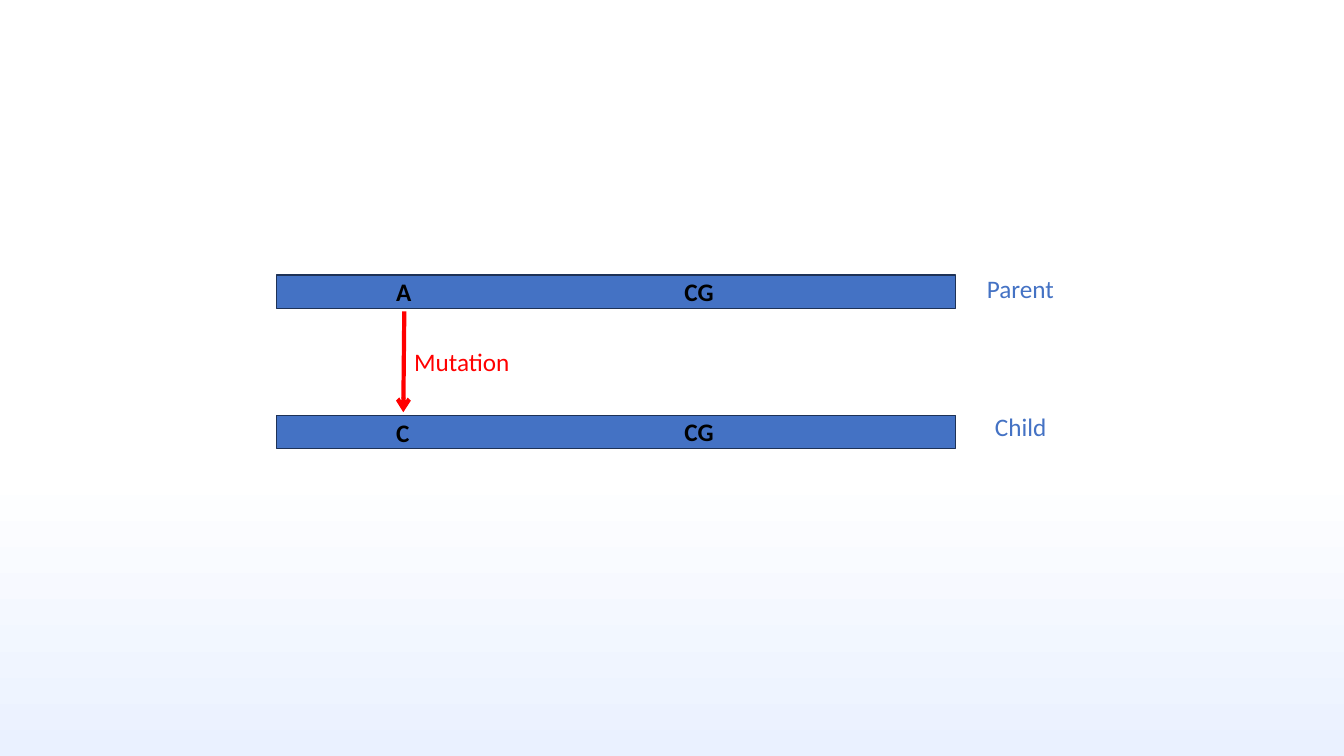
from dataclasses import dataclass

from lxml import etree
from pptx import Presentation
from pptx import util as u
from pptx.dml.color import RGBColor
from pptx.enum import shapes, text
from pptx.oxml.ns import qn

PX = 9144  # EMU per px, 100 px to the inch


@dataclass(frozen=True)
class Theme:
    font: str = "Calibri"
    size: int = 18
    blue: str = "4472C4"
    outline: str = "1E3256"
    black: str = "000000"
    red: str = "FF0000"
    sky_top: str = "FFFFFF"
    sky_bottom: str = "EAF1FF"


THEME = Theme()
LINE_HEIGHT = 40


def px(length):
    return u.Emu(length * PX)


def rgb(color):
    return RGBColor.from_string(color)


def add_text(page, words, left, top, width, color=THEME.black, bold=False):
    box = page.shapes.add_textbox(px(left), px(top), px(width), px(LINE_HEIGHT))
    frame = box.text_frame
    frame.word_wrap = False
    frame.auto_size = text.MSO_AUTO_SIZE.SHAPE_TO_FIT_TEXT
    span = frame.paragraphs[0].add_run()
    span.text = words
    span.font.name = THEME.font
    span.font.size = u.Pt(THEME.size)
    span.font.bold = bold
    span.font.color.rgb = rgb(color)


def paint_background(page):
    fill = page.background.fill
    fill.gradient()
    fill.gradient_angle = 270
    stops = ((0.62, THEME.sky_top), (1, THEME.sky_bottom))
    for stop, (position, color) in zip(fill.gradient_stops, stops):
        stop.position = position
        stop.color.rgb = rgb(color)


def add_strand(page, left, top, width, height, bases, label):
    """Bases and label are (words, x, y, width), measured from the bar's corner."""
    # Bar
    bar = page.shapes.add_shape(shapes.MSO_SHAPE.RECTANGLE,
                                px(left), px(top), px(width), px(height))
    bar.shadow.inherit = False
    bar.fill.solid()
    bar.fill.fore_color.rgb = rgb(THEME.blue)
    bar.line.color.rgb = rgb(THEME.outline)
    bar.line.width = u.Pt(1)
    # Bases on the bar
    for words, x, y, base_width in bases:
        add_text(page, words, left + x, top + y, base_width, bold=True)
    # Generation beside the bar
    words, x, y, label_width = label
    add_text(page, words, left + x, top + y, label_width, color=THEME.blue)


def add_mutation(page, left, top, width, height):
    # Arrow from parent base to child base
    arrow = page.shapes.add_connector(shapes.MSO_CONNECTOR.STRAIGHT, px(left + 1),
                                      px(top), px(left), px(top + height))
    arrow.line.color.rgb = rgb(THEME.red)
    arrow.line.width = u.Pt(3)
    etree.SubElement(arrow.line._get_or_add_ln(), qn("a:tailEnd"), type="arrow")
    etree.SubElement(arrow._element.spPr, qn("a:effectLst"))
    # Caption
    add_text(page, "Mutation", left + 1, top + 30, width, color=THEME.red)


def main():
    deck = Presentation()
    deck.slide_width, deck.slide_height = px(1333), px(750)
    page = deck.slides.add_slide(deck.slide_layouts[6])
    paint_background(page)

    shared = ("CG", 395, -4, 49)
    strands = (
        (("A", 109, -4, 35), ("Parent", 695, -7, 87)),
        (("C", 109, -3, 34), ("Child", 703, -9, 72)),
    )
    for row, (base, label) in enumerate(strands):
        add_strand(page, 274, 273 + 139 * row, 674, 33, (base, shared), label)
    add_mutation(page, 400, 309, 116, 100)

    deck.save("out.pptx")


if __name__ == "__main__":
    main()
